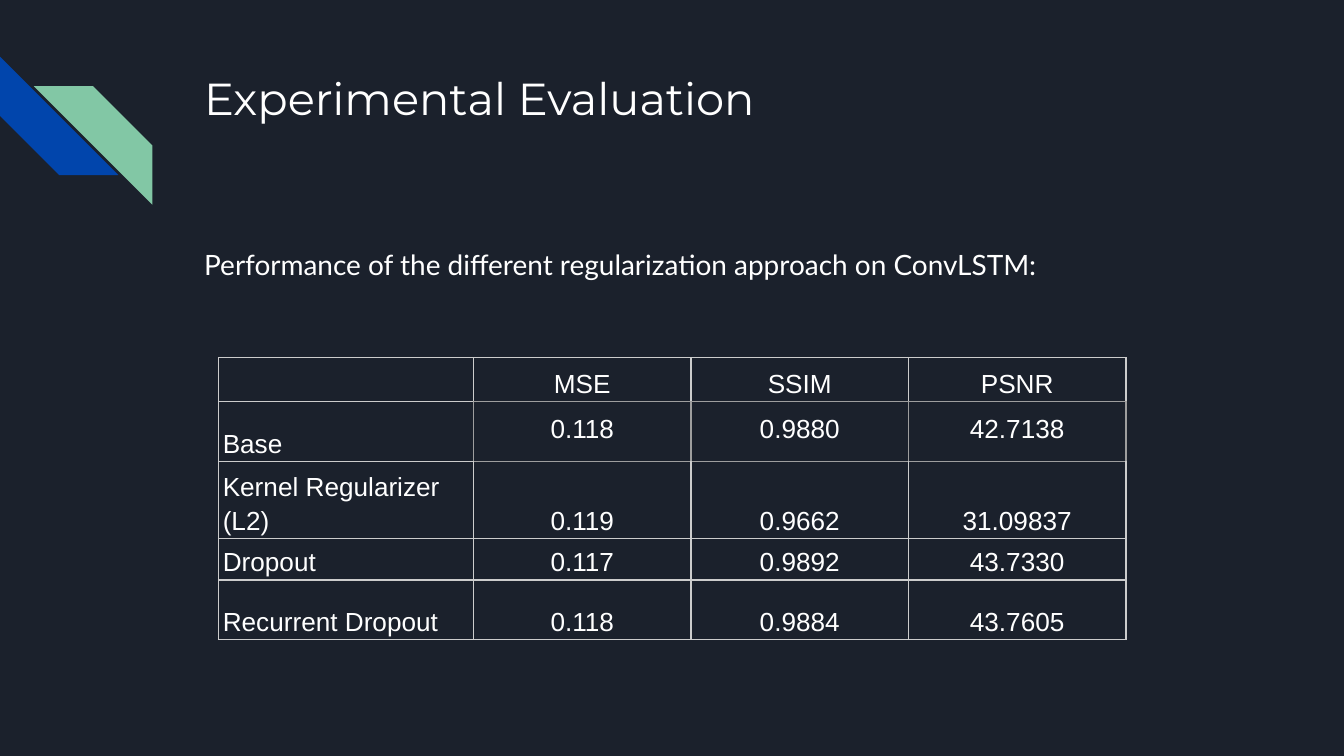
"""Build the slide that compares regularization approaches on ConvLSTM."""
from dataclasses import dataclass

from lxml import etree
from pptx import Presentation
from pptx.dml.color import RGBColor
from pptx.enum.shapes import MSO_SHAPE
from pptx.enum.text import MSO_ANCHOR, PP_ALIGN
from pptx.oxml.ns import qn
from pptx.util import Cm, Pt

STRIPE = MSO_SHAPE.DIAGONAL_STRIPE
TOP, BOTTOM = MSO_ANCHOR.TOP, MSO_ANCHOR.BOTTOM
LEFT, CENTER = PP_ALIGN.LEFT, PP_ALIGN.CENTER


@dataclass(frozen=True)
class Theme:
    background: str = "1B212C"
    text: str = "FFFFFF"
    blue: str = "0145AC"
    green: str = "82C7A5"
    border: str = "CCCCCC"
    muted_border: str = "9E9E9E"
    title_size: int = 24
    body_size: int = 15
    table_size: int = 14
    border_width: float = 0.75


theme = Theme()


def style_paragraph(para, font_name, size, spacing=1.0, align=LEFT):
    para.font.name = font_name
    para.font.size = Pt(size)
    para.font.color.rgb = RGBColor.from_string(theme.text)
    para.line_spacing = spacing
    para.alignment = align


def add_border(cell, side, color):
    line = etree.SubElement(cell._tc.get_or_add_tcPr(), qn(f"a:ln{side}"))
    line.set("w", str(Pt(theme.border_width)))
    fill = etree.SubElement(line, qn("a:solidFill"))
    etree.SubElement(fill, qn("a:srgbClr")).set("val", color)


deck = Presentation()
deck.slide_width, deck.slide_height = Cm(25.4), Cm(14.29)
page = deck.slides.add_slide(deck.slide_layouts[6])
page.background.fill.solid()
page.background.fill.fore_color.rgb = RGBColor.from_string(theme.background)

for left, top, rotation, color in (
    (0, 1.07, 270, theme.blue),
    (0.64, 1.63, 90, theme.green),
):
    stripe = page.shapes.add_shape(STRIPE, Cm(left), Cm(top), Cm(2.24), Cm(2.24))
    stripe.rotation = rotation
    stripe.shadow.inherit = False
    stripe.fill.solid()
    stripe.fill.fore_color.rgb = RGBColor.from_string(color)
    stripe.line.fill.background()

for text, top, height, font_name, size, spacing in (
    ("Experimental Evaluation", 1.09, 2.54, "Montserrat", theme.title_size, 1.0),
    ("Performance of the different regularization approach on ConvLSTM:",
     4.34, 8.08, "Lato", theme.body_size, 1.15),
):
    box = page.shapes.add_textbox(Cm(3.61), Cm(top), Cm(19.56), Cm(height))
    frame = box.text_frame
    frame.word_wrap = True
    frame.margin_left = frame.margin_right = Cm(0.25)
    frame.margin_top = frame.margin_bottom = Cm(0.25)
    frame.text = text
    style_paragraph(frame.paragraphs[0], font_name, size, spacing)

results = (
    ("", "MSE", "SSIM", "PSNR"),
    ("Base", "0.118", "0.9880", "42.7138"),
    ("Kernel Regularizer (L2)", "0.119", "0.9662", "31.09837"),
    ("Dropout", "0.117", "0.9892", "43.7330"),
    ("Recurrent Dropout", "0.118", "0.9884", "43.7605"),
)
column_widths = (4.82, 4.11, 4.11, 4.11)
row_heights = (0.83, 1.13, 1.38, 0.74, 1.13)
base_values = {(1, column) for column in (1, 2, 3)}
neighbours = {"L": (0, -1), "R": (0, 1), "T": (-1, 0), "B": (1, 0)}

table = page.shapes.add_table(
    len(results), len(column_widths), Cm(4.13), Cm(6.76),
    Cm(sum(column_widths)), Cm(sum(row_heights)),
).table
table.first_row = table.horz_banding = False
for column, width in zip(table.columns, column_widths):
    column.width = Cm(width)
for row, height in zip(table.rows, row_heights):
    row.height = Cm(height)

for row_index, values in enumerate(results):
    for column_index, value in enumerate(values):
        cell = table.cell(row_index, column_index)
        is_base_value = (row_index, column_index) in base_values
        cell.text = value
        cell.vertical_anchor = TOP if is_base_value else BOTTOM
        cell.margin_left = cell.margin_right = Cm(0.25 if is_base_value else 0.08)
        cell.margin_top = cell.margin_bottom = Cm(0.25 if is_base_value else 0.05)
        style_paragraph(
            cell.text_frame.paragraphs[0], "Arial", theme.table_size,
            1.0 if is_base_value else 1.15, CENTER if column_index else LEFT,
        )
        for side, (down, across) in neighbours.items():
            beside = (row_index + down, column_index + across)
            muted = is_base_value or beside in base_values
            add_border(cell, side, theme.muted_border if muted else theme.border)
        cell.fill.background()

deck.save("out.pptx")
